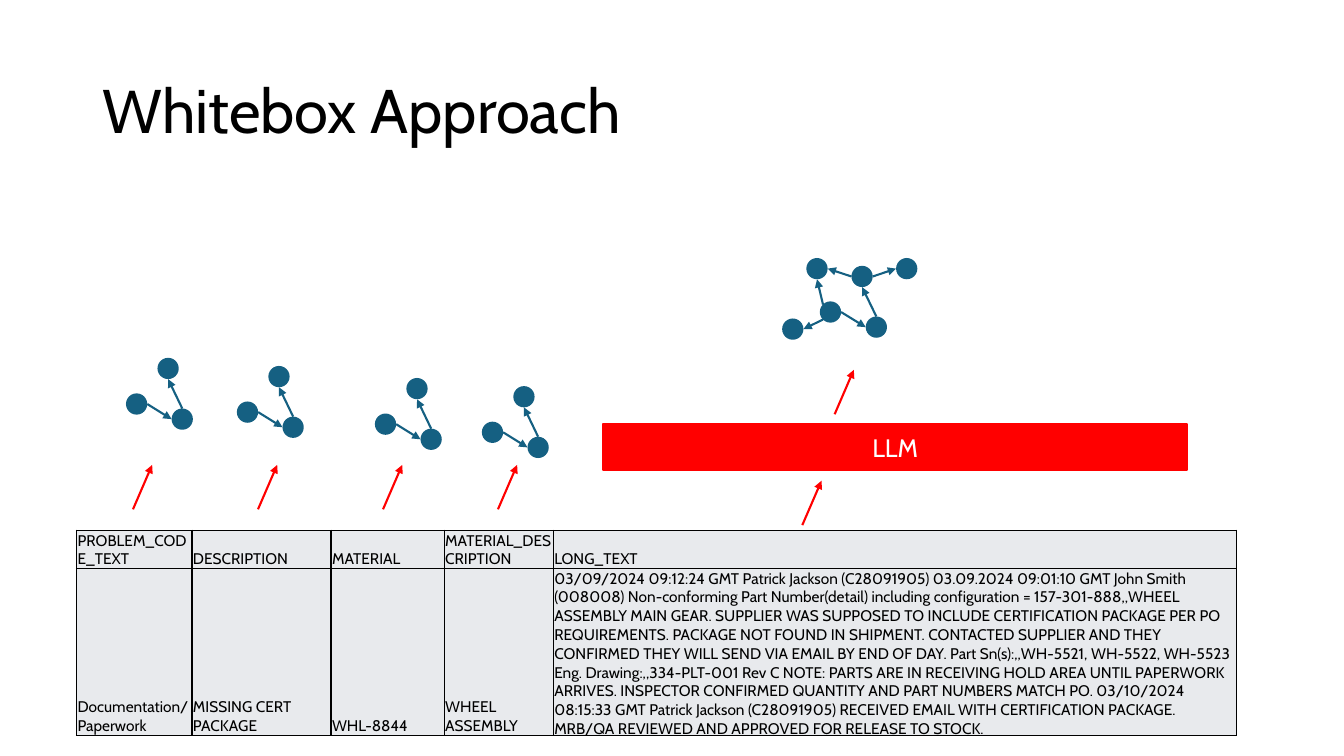
from dataclasses import dataclass

from lxml.etree import SubElement
from pptx import Presentation
from pptx.dml.color import RGBColor
from pptx.enum.shapes import MSO_CONNECTOR as Connector, MSO_SHAPE as Preset
from pptx.enum.text import MSO_ANCHOR as Anchor, PP_ALIGN as Align
from pptx.oxml.ns import qn
from pptx.util import Pt


@dataclass(frozen=True)
class Theme:
    font: str = "Cabin"
    ink: str = "000000"
    paper: str = "FFFFFF"
    signal: str = "FF0000"
    node: str = "156082"
    cell: str = "E8EAED"
    title_size: float = 44
    label_size: float = 18
    table_size: float = 11
    stroke: float = 1.5
    border: float = 1


THEME = Theme()
NODE_SIZE = 15.2
DIAGONAL = 0.15
SITES = {
    "top": (0.5, 0),
    "left": (0, 0.5),
    "bottom": (0.5, 1),
    "right": (1, 0.5),
    "top_left": (DIAGONAL, DIAGONAL),
    "bottom_left": (DIAGONAL, 1 - DIAGONAL),
}

TRIPLE_NODES = {"source": (0, 25.4), "upper": (22.5, 0), "lower": (32.6, 36.2)}
TRIPLE_EDGES = [
    ("source", "right", "lower", "left"),
    ("lower", "top", "upper", "bottom"),
]
TEXT_NODES = {
    "source": (26.9, 31),
    "upper": (49.5, 5.6),
    "lower": (59.7, 41.8),
    "far_left": (0, 43.2),
    "top_left": (17.3, 0),
    "far_right": (81.4, 0),
}
TEXT_EDGES = TRIPLE_EDGES + [
    ("source", "bottom_left", "far_left", "right"),
    ("upper", "left", "top_left", "right"),
    ("upper", "right", "far_right", "left"),
    ("source", "top_left", "top_left", "bottom"),
]

COLUMN_WIDTHS = (82.4, 99.4, 80.8, 78, 488)
ROW_HEIGHTS = (22.5, 66.2)
RECORD = (
    ("PROBLEM_CODE_TEXT", "DESCRIPTION", "MATERIAL", "MATERIAL_DESCRIPTION", "LONG_TEXT"),
    (
        "Documentation/Paperwork",
        "MISSING CERT PACKAGE",
        "WHL-8844",
        "WHEEL ASSEMBLY",
        "03/09/2024 09:12:24 GMT Patrick Jackson (C28091905) 03.09.2024 09:01:10 GMT "
        "John Smith (008008) Non-conforming Part Number(detail) including configuration "
        "= 157-301-888,,WHEEL ASSEMBLY MAIN GEAR. SUPPLIER WAS SUPPOSED TO INCLUDE "
        "CERTIFICATION PACKAGE PER PO REQUIREMENTS. PACKAGE NOT FOUND IN SHIPMENT. "
        "CONTACTED SUPPLIER AND THEY CONFIRMED THEY WILL SEND VIA EMAIL BY END OF DAY. "
        "Part Sn(s):,,WH-5521, WH-5522, WH-5523 Eng. Drawing:,,334-PLT-001 Rev C NOTE: "
        "PARTS ARE IN RECEIVING HOLD AREA UNTIL PAPERWORK ARRIVES. INSPECTOR CONFIRMED "
        "QUANTITY AND PART NUMBERS MATCH PO. 03/10/2024 08:15:33 GMT Patrick Jackson "
        "(C28091905) RECEIVED EMAIL WITH CERTIFICATION PACKAGE. MRB/QA REVIEWED AND "
        "APPROVED FOR RELEASE TO STOCK.",
    ),
)


def color(value):
    return RGBColor.from_string(value)


def points(*values):
    return [Pt(value) for value in values]


def add_run(paragraph, text, size, ink):
    run = paragraph.add_run()
    run.text = text
    run.font.name = THEME.font
    run.font.size = Pt(size)
    run.font.color.rgb = color(ink)


def add_arrow(slide, start, end, ink):
    arrow = slide.shapes.add_connector(Connector.STRAIGHT, *points(*start, *end))
    arrow.line.color.rgb = color(ink)
    arrow.line.width = Pt(THEME.stroke)
    SubElement(arrow.line._get_or_add_ln(), qn("a:tailEnd"), type="triangle")
    SubElement(arrow._element.spPr, qn("a:effectLst"))


def add_flow_arrow(slide, left, bottom):
    add_arrow(slide, (left, bottom), (left + 13.7, bottom - 31.7), THEME.signal)


def add_title(slide, box):
    frame = slide.shapes.add_textbox(*points(*box)).text_frame
    frame.word_wrap = True
    frame.vertical_anchor = Anchor.MIDDLE
    paragraph = frame.paragraphs[0]
    paragraph.line_spacing = 0.9
    add_run(paragraph, "Whitebox Approach", THEME.title_size, THEME.ink)


def style_cell(cell, text):
    cell.vertical_anchor = Anchor.BOTTOM
    cell.margin_left = cell.margin_right = cell.margin_top = Pt(0.7)
    cell.margin_bottom = Pt(0)
    properties = cell._tc.get_or_add_tcPr()
    for side in ("a:lnL", "a:lnR", "a:lnT", "a:lnB"):
        border = SubElement(properties, qn(side), w=str(Pt(THEME.border)))
        fill = SubElement(border, qn("a:solidFill"))
        SubElement(fill, qn("a:srgbClr"), val=THEME.ink)
    cell.fill.solid()
    cell.fill.fore_color.rgb = color(THEME.cell)
    add_run(cell.text_frame.paragraphs[0], text, THEME.table_size, THEME.ink)


def add_record_table(slide, left, top):
    box = points(left, top, sum(COLUMN_WIDTHS), sum(ROW_HEIGHTS))
    table = slide.shapes.add_table(len(RECORD), len(COLUMN_WIDTHS), *box).table
    table.first_row = table.horz_banding = False
    for column, width in zip(table.columns, COLUMN_WIDTHS):
        column.width = Pt(width)
    for row, height, texts in zip(table.rows, ROW_HEIGHTS, RECORD):
        row.height = Pt(height)
        for cell, text in zip(row.cells, texts):
            style_cell(cell, text)


def add_graph(slide, left, top, nodes, edges):
    def site(node, side):
        x, y = nodes[node]
        across, down = SITES[side]
        return left + x + across * NODE_SIZE, top + y + down * NODE_SIZE

    for x, y in nodes.values():
        box = points(left + x, top + y, NODE_SIZE, NODE_SIZE)
        shape = slide.shapes.add_shape(Preset.OVAL, *box)
        shape.shadow.inherit = False
        shape.fill.solid()
        shape.fill.fore_color.rgb = color(THEME.node)
        shape.line.fill.background()
    for begin, begin_side, end, end_side in edges:
        add_arrow(slide, site(begin, begin_side), site(end, end_side), THEME.node)


def add_model_bar(slide, box):
    left, top, width, height = box
    shape = slide.shapes.add_shape(Preset.RECTANGLE, *points(*box))
    shape.shadow.inherit = False
    shape.fill.solid()
    shape.fill.fore_color.rgb = color(THEME.signal)
    shape.line.color.rgb = color(THEME.signal)
    shape.line.width = Pt(THEME.stroke)
    shape.text_frame.vertical_anchor = Anchor.MIDDLE
    paragraph = shape.text_frame.paragraphs[0]
    paragraph.alignment = Align.CENTER
    add_run(paragraph, "LLM", THEME.label_size, THEME.paper)
    add_flow_arrow(slide, left + 142.5, top + height + 39.6)
    add_flow_arrow(slide, left + 165.6, top - 7.2)
    add_graph(slide, left + 128.1, top - 118.8, TEXT_NODES, TEXT_EDGES)


def add_field_graphs(slide, bottom):
    fields = ((95, 90, 255.6), (184.3, 169.2, 261.4), (273.6, 267.8, 270), (355.7, 344.2, 275.8))
    for arrow_left, graph_left, graph_top in fields:
        add_flow_arrow(slide, arrow_left, bottom)
        add_graph(slide, graph_left, graph_top, TRIPLE_NODES, TRIPLE_EDGES)


def main():
    presentation = Presentation()
    presentation.slide_width = Pt(960)
    presentation.slide_height = Pt(540)
    slide = presentation.slides.add_slide(presentation.slide_layouts[6])
    add_title(slide, (66, 28.75, 828, 104.4))
    add_record_table(slide, 54.7, 378.7)
    add_field_graphs(slide, 363.8)
    add_model_bar(slide, (430.6, 303.1, 417.6, 32.4))
    presentation.save("out.pptx")


if __name__ == "__main__":
    main()
